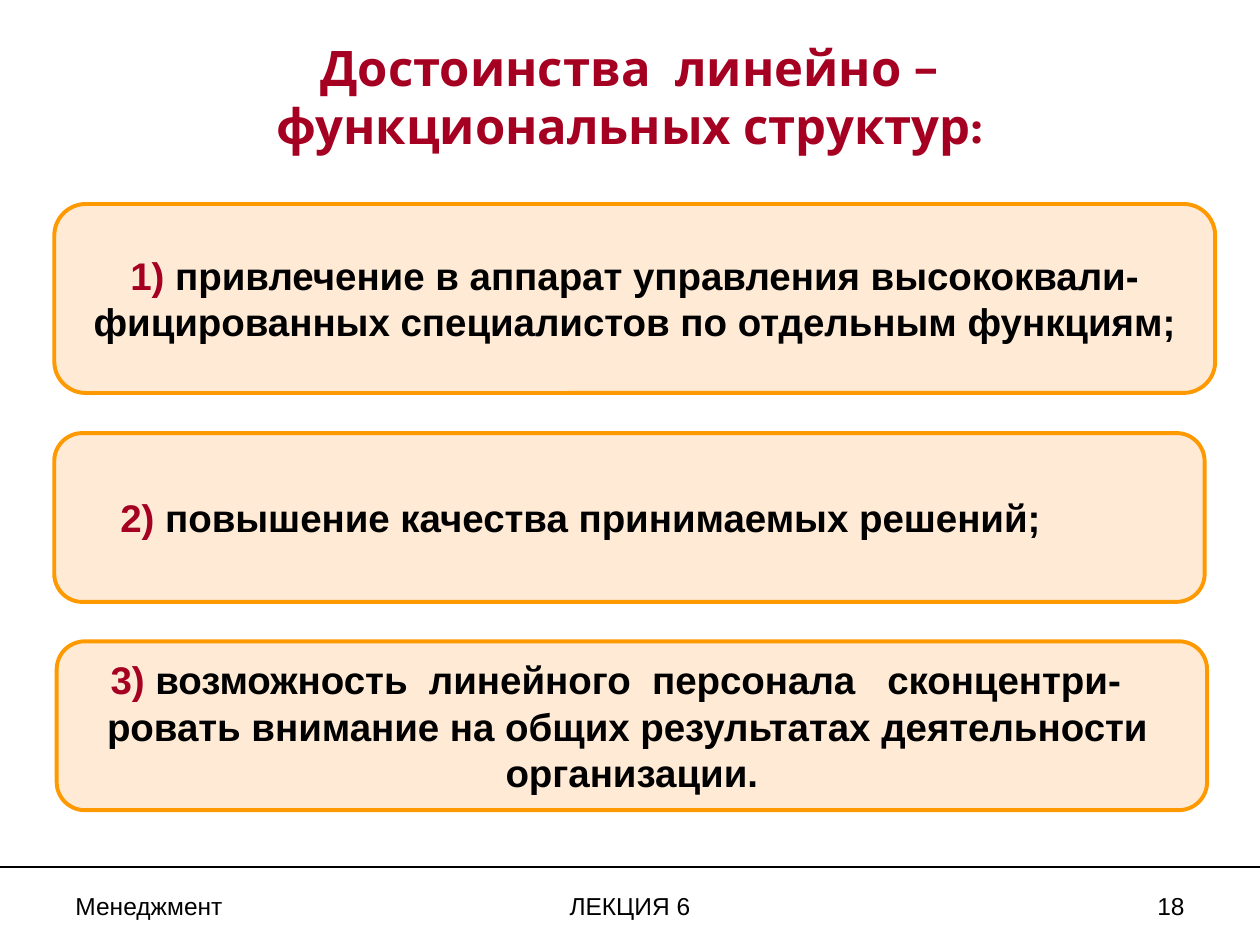
from pptx import Presentation
from pptx.dml.color import RGBColor
from pptx.enum.shapes import MSO_CONNECTOR, MSO_SHAPE
from pptx.enum.text import MSO_ANCHOR, PP_ALIGN
from pptx.oxml.ns import qn
from pptx.util import Pt
from lxml import etree

LEFT, MID, RIGHT = PP_ALIGN.LEFT, PP_ALIGN.CENTER, PP_ALIGN.RIGHT
TOP, CENTER = MSO_ANCHOR.TOP, MSO_ANCHOR.MIDDLE
ROUND, LINE = MSO_SHAPE.ROUNDED_RECTANGLE, MSO_CONNECTOR.STRAIGHT

COLORS = {"red": "A50021", "black": "000000", "fill": "FFCC99", "edge": "FF9900"}
WIDTH, HEIGHT = 720, 540
TITLE = "Достоинства  линейно – функциональных структур:"

# Each card: bounds, then lines with a left indent (None is centred).
CARDS = [
    ((31, 116.6, 663.4, 108), [
        ("привлечение в аппарат управления высококвали-", None),
        ("фицированных специалистов по отдельным функциям;", None),
    ]),
    ((31, 247.5, 657.4, 96.5), [
        ("повышение качества принимаемых решений;", 26),
    ]),
    ((32.4, 366.5, 657.4, 96.5), [
        ("возможность  линейного  персонала   сконцентри-", 19),
        ("ровать внимание на общих результатах деятельности", 17),
        ("организации.", None),
    ]),
]
FOOTER = [
    ("Менеджмент", 36, 168, LEFT),
    ("ЛЕКЦИЯ 6", 246, 228, MID),
    ("18", 516, 168, RIGHT),
]


def color(name):
    return RGBColor.from_string(COLORS[name])


def style(para, face, size, bold, align):
    para.alignment = align
    para.font.name = face
    para.font.size = Pt(size)
    para.font.bold = bold


def add_run(para, text, tint):
    run = para.add_run()
    run.text = text
    run.font.color.rgb = color(tint)


def add_round(slide, box, anchor):
    shape = slide.shapes.add_shape(ROUND, *map(Pt, box))
    shape.shadow.inherit = False
    shape.text_frame.word_wrap = True
    shape.text_frame.vertical_anchor = anchor
    return shape


def add_title(slide):
    shape = add_round(slide, (48, 13.7, 624, 83), TOP)
    shape.fill.background()
    shape.line.fill.background()
    para = shape.text_frame.paragraphs[0]
    style(para, "Karla", 28, True, MID)
    add_run(para, TITLE, "red")


def add_card(slide, number, box, lines):
    shape = add_round(slide, box, CENTER)
    shape.fill.solid()
    shape.fill.fore_color.rgb = color("fill")
    tint = shape.fill._xPr.find(qn("a:solidFill"))[0]
    etree.SubElement(tint, qn("a:alpha"), val="40000")
    shape.line.color.rgb = color("edge")
    shape.line.width = Pt(2.25)
    frame = shape.text_frame
    for index, (text, indent) in enumerate(lines):
        para = frame.add_paragraph() if index else frame.paragraphs[0]
        if indent is not None:
            para._p.get_or_add_pPr().set("marL", str(Pt(indent)))
        style(para, "Arial", 22, True, MID if indent is None else LEFT)
        if not index:
            add_run(para, f"{number}) ", "red")
        add_run(para, text, "black")


def add_footer(slide):
    rule = slide.shapes.add_connector(LINE, 0, Pt(495.4), Pt(WIDTH), Pt(495.4))
    rule.line.color.rgb = color("black")
    rule.line.width = Pt(1.5)
    etree.SubElement(rule._element.spPr, qn("a:effectLst"))
    for text, left, width, align in FOOTER:
        box = slide.shapes.add_textbox(Pt(left), Pt(505.4), Pt(width), Pt(24.5))
        box.text_frame.word_wrap = True
        para = box.text_frame.paragraphs[0]
        style(para, "Arial", 14, False, align)
        add_run(para, text, "black")


def main():
    deck = Presentation()
    deck.slide_width, deck.slide_height = Pt(WIDTH), Pt(HEIGHT)
    slide = deck.slides.add_slide(deck.slide_layouts[6])
    add_title(slide)
    for number, (box, lines) in enumerate(CARDS, 1):
        add_card(slide, number, box, lines)
    add_footer(slide)
    deck.save("out.pptx")


if __name__ == "__main__":
    main()
